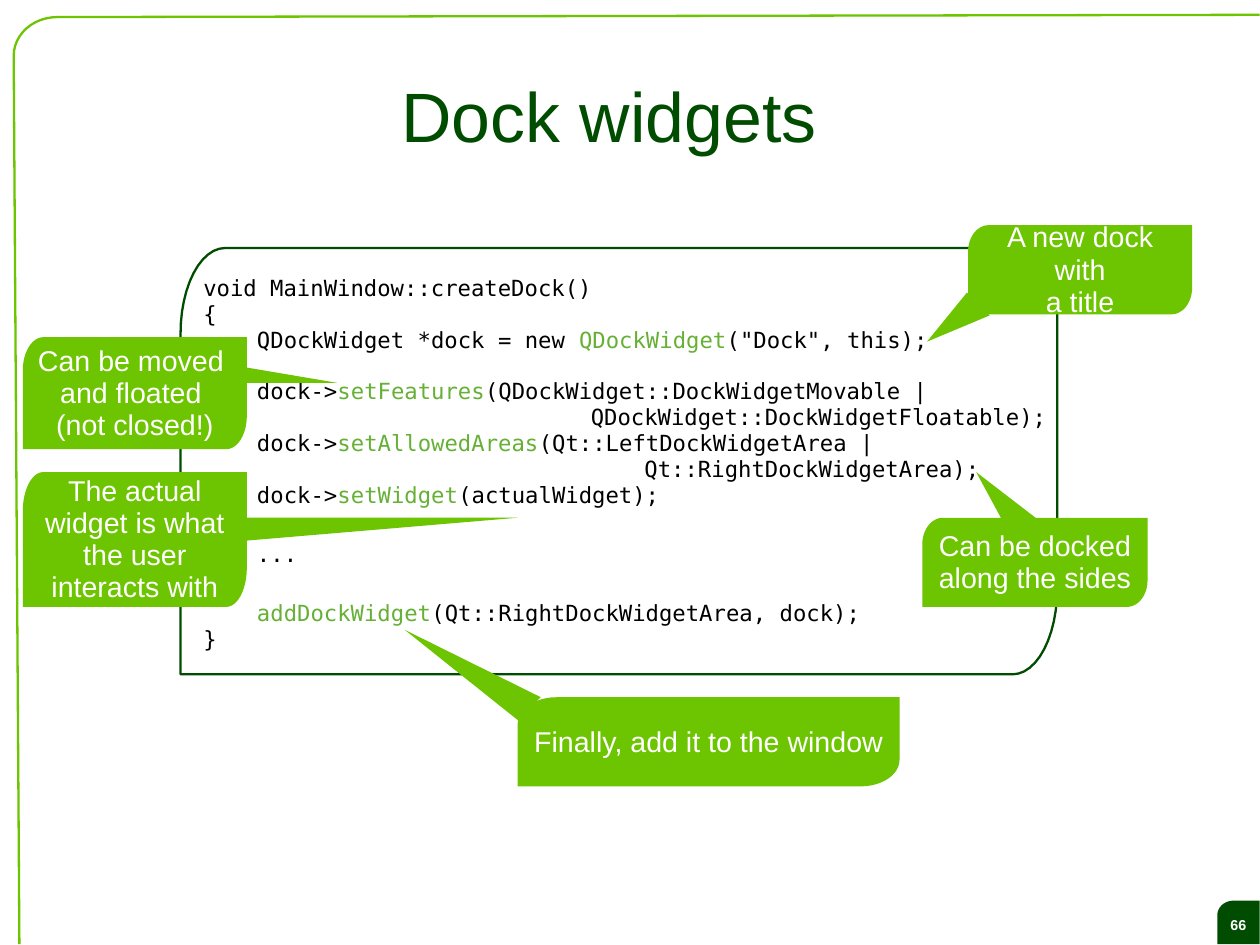
"""Build the slide that explains dock widgets with annotated code."""
import math

import pptx
import pptx.dml.color
import pptx.enum.text
import pptx.util

PX = 9144
DARK, LEAF, ACCENT, WHITE, BLACK = "004C00", "6DC400", "66B036", "FFFFFF", "000000"
CENTER = pptx.enum.text.PP_ALIGN.CENTER
LEFT = pptx.enum.text.PP_ALIGN.LEFT
MIDDLE = pptx.enum.text.MSO_ANCHOR.MIDDLE
TOP = pptx.enum.text.MSO_ANCHOR.TOP
colour = pptx.dml.color.RGBColor.from_string
ARC = [(1 - math.cos(step * math.pi / 24), 1 - math.sin(step * math.pi / 24))
       for step in range(13)]

deck = pptx.Presentation()
deck.slide_width, deck.slide_height = pptx.util.Cm(28), pptx.util.Cm(21)
slide = deck.slides.add_slide(deck.slide_layouts[5])


def draw(points, fill=None, line=None, close=True):
    """Draw an outline through points given in px."""
    spots = [(round(x * PX), round(y * PX)) for x, y in points]
    builder = slide.shapes.build_freeform(*spots[0], scale=1.0)
    builder.add_line_segments(spots[1:], close=close)
    shape = builder.convert_to_shape()
    shape.shadow.inherit = False
    if fill:
        shape.fill.solid()
        shape.fill.fore_color.rgb = colour(fill)
    else:
        shape.fill.background()
    if line:
        shape.line.color.rgb = colour(line)
        shape.line.width = pptx.util.Pt(1.45)
    else:
        shape.line.fill.background()
    return shape


def write(frame, text, size, ink, font="Arial", align=CENTER, anchor=MIDDLE,
          margins=(0, 0, 0, 0), pitch=0.93, indent=0, before=0, bold=False, wrap=True):
    """Append one paragraph; backticks enclose accented words."""
    frame.word_wrap, frame.vertical_anchor = wrap, anchor
    frame.auto_size = pptx.enum.text.MSO_AUTO_SIZE.NONE
    (frame.margin_left, frame.margin_top,
     frame.margin_right, frame.margin_bottom) = [side * PX for side in margins]
    paragraph = frame.add_paragraph() if frame.text else frame.paragraphs[0]
    paragraph.alignment, paragraph.line_spacing = align, pitch
    paragraph.space_before = pptx.util.Pt(before)
    if indent:
        properties = paragraph._p.get_or_add_pPr()
        properties.set("marL", str(indent * PX))
        properties.set("indent", "0")
    for position, part in enumerate(text.split("`")):
        for row, words in enumerate(part.split("\n")):
            if row:
                paragraph.add_line_break()
            if words:
                run = paragraph.add_run()
                run.text = words
                run.font.name, run.font.size, run.font.bold = font, pptx.util.Pt(size), bold
                run.font.color.rgb = colour(ACCENT if position % 2 else ink)


draw([(17, 826)] + [(12 + 38 * x, 15 + 34 * y) for x, y in ARC] + [(1102, 13)],
     line=LEAF, close=False)
badge = draw([(1065 + 14 * x, 788 + 13 * y) for x, y in ARC]
             + [(1102, 788), (1102, 826), (1065, 826)], fill=DARK)
write(badge.text_frame, "66", 9, WHITE, bold=True, margins=(0, 5, 0, 0))

title = slide.shapes.title
title.left, title.top, title.width, title.height = [v * PX for v in (175, 33, 716, 138)]
write(title.text_frame, "Dock widgets", 44, DARK, margins=(0, 4, 0, 0))

code = slide.shapes.add_textbox(168 * PX, 235 * PX, 755 * PX, 342 * PX)
CODE_LINES = [
    (0, 0, "void MainWindow::createDock()"),
    (0, 0, "{"),
    (4, 0, 'QDockWidget *dock = new `QDockWidget`("Dock", this);'),
    (4, 16, "dock->`setFeatures`(QDockWidget::DockWidgetMovable |"),
    (29, 0, "QDockWidget::DockWidgetFloatable);"),
    (4, 0, "dock->`setAllowedAreas`(Qt::LeftDockWidgetArea |"),
    (33, 0, "Qt::RightDockWidgetArea);"),
    (4, 0, "dock->`setWidget`(actualWidget);"),
    (4, 21, "..."),
    (4, 21, "`addDockWidget`(Qt::RightDockWidgetArea, dock);"),
    (0, 0, "}"),
]
for columns, gap, text in CODE_LINES:
    write(code.text_frame, text, 14, BLACK, font="DejaVu Sans Mono", align=LEFT, anchor=TOP,
          margins=(10, 6, 10, 5), pitch=pptx.util.Pt(16.3), indent=round(columns * 11.7),
          before=gap, wrap=False)

CALLOUTS = [
    ((158, 217, 925, 590), (39, 75), [], []),
    ((847, 197, 1043, 275), (18, 23), [(846, 256), (811, 299), (866, 276)],
     ["A new dock with", "a title"]),
    ((807, 453, 1004, 531), (18, 23), [(906, 453), (854, 413), (886, 472)],
     ["Can be docked", "along the sides"]),
    ((453, 610, 787, 688), (34, 23), [(473, 610), (354, 551), (453, 630)],
     ["Finally, add it to the window"]),
    ((20, 413, 216, 531), (18, 34), [(177, 453), (453, 453), (216, 473)],
     ["The actual", "widget is what", "the user", "interacts with"]),
    ((20, 295, 216, 393), (18, 29), [(177, 315), (295, 335), (197, 335)],
     ["Can be moved \nand floated \n(not closed!)"]),
]
for (left, top, right, bottom), (rx, ry), pointer, lines in CALLOUTS:
    if pointer:
        draw(pointer, fill=LEAF)
    half = [(left + rx * x, top + ry * y) for x, y in ARC] + [(right, top)]
    outline = half + [(left + right - x, top + bottom - y) for x, y in half]
    leaf = draw(outline, fill=LEAF if lines else None, line=None if lines else DARK)
    for text in lines:
        write(leaf.text_frame, text, 18, WHITE, margins=(11, 7, 11, 7),
              pitch=pptx.util.Pt(20.2))

deck.save("out.pptx")
